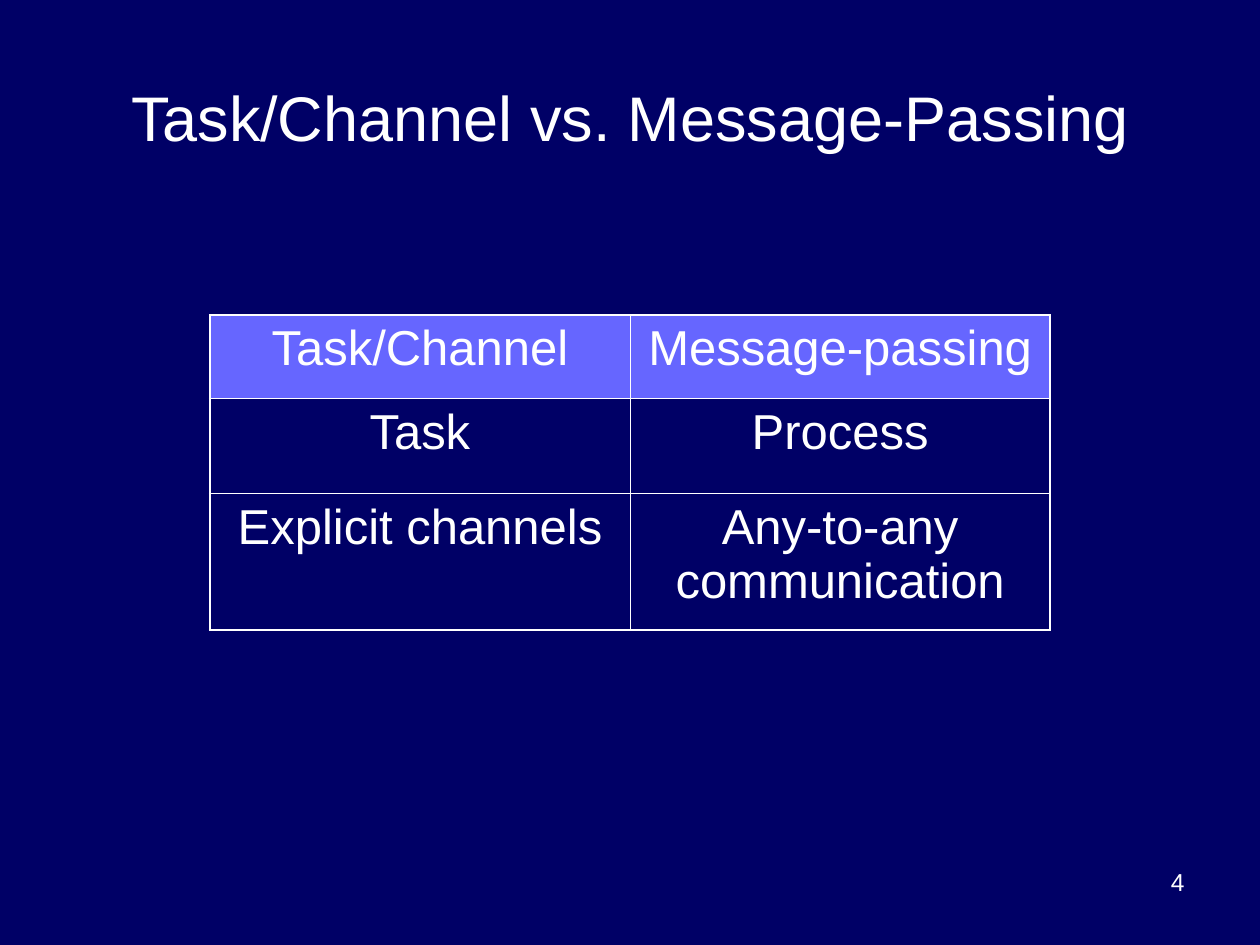
from lxml.etree import SubElement
from pptx import Presentation
from pptx.dml.color import RGBColor
from pptx.enum.text import MSO_ANCHOR as Anchor, PP_ALIGN as Align
from pptx.oxml.ns import qn
from pptx.util import Cm, Pt

TITLE = "Task/Channel vs. Message-Passing"
ROWS = [
    ("Task/Channel", "Message-passing"),
    ("Task", "Process"),
    ("Explicit channels", "Any-to-any communication"),
]
PAGE_NUMBER = "4"

COLORS = {"background": "000066", "header": "6666FF", "text": "FFFFFF", "border": "FFFFFF"}
FONT = "Arial"
SIZES = {"title": 36, "table": 28, "number": 14}
TITLE_BOX = (1.27, 0.76, 22.86, 3.18)
NUMBER_BOX = (18.21, 17.35, 5.92, 1.32)
TABLE_ORIGIN = (4.23, 6.35)
COLUMN_WIDTH = 8.47
ROW_HEIGHTS = (1.69, 1.91, 2.75)
OUTER_LINE, INNER_LINE = 1.08, 0.45
MARGINS = {"margin_left": Cm(0.25), "margin_right": Cm(0.25),
           "margin_top": Cm(0.13), "margin_bottom": Cm(0.13)}


def set_values(target, values):
    for name, value in values.items():
        setattr(target, name, value)


def write_text(frame, text, size, alignment):
    frame.word_wrap = True
    paragraph = frame.paragraphs[0]
    paragraph.alignment = alignment
    run = paragraph.add_run()
    run.text = text
    set_values(run.font, {"name": FONT, "size": Pt(size), "bold": False})
    run.font.color.rgb = RGBColor.from_string(COLORS["text"])


def add_borders(cell, widths):
    properties = cell._tc.get_or_add_tcPr()
    for position, (side, width) in enumerate(widths.items()):
        line = SubElement(properties, qn(f"a:ln{side}"), w=str(int(Pt(width))))
        fill = SubElement(line, qn("a:solidFill"))
        SubElement(fill, qn("a:srgbClr"), val=COLORS["border"])
        properties.insert(position, line)


def add_comparison_table(slide):
    row_count, column_count = len(ROWS), len(ROWS[0])
    size = (COLUMN_WIDTH * column_count, sum(ROW_HEIGHTS))
    table = slide.shapes.add_table(row_count, column_count, *map(Cm, TABLE_ORIGIN + size)).table
    set_values(table, {"first_row": False, "horz_banding": False})
    for column in table.columns:
        column.width = Cm(COLUMN_WIDTH)
    for i, texts in enumerate(ROWS):
        table.rows[i].height = Cm(ROW_HEIGHTS[i])
        for j, text in enumerate(texts):
            cell = table.cell(i, j)
            set_values(cell, MARGINS | {"vertical_anchor": Anchor.TOP})
            write_text(cell.text_frame, text, SIZES["table"], Align.CENTER)
            if i == 0:
                cell.fill.solid()
                cell.fill.fore_color.rgb = RGBColor.from_string(COLORS["header"])
            else:
                cell.fill.background()
            outer = {"L": j == 0, "R": j == column_count - 1, "T": i == 0, "B": i == row_count - 1}
            add_borders(cell, {side: OUTER_LINE if edge else INNER_LINE for side, edge in outer.items()})


def main():
    """Build the slide comparing the task/channel and message-passing models."""
    presentation = Presentation()
    set_values(presentation, {"slide_width": Cm(25.4), "slide_height": Cm(19.05)})
    slide = presentation.slides.add_slide(presentation.slide_layouts[5])
    background = slide.background.fill
    background.solid()
    background.fore_color.rgb = RGBColor.from_string(COLORS["background"])

    title = slide.shapes.title
    set_values(title, dict(zip(("left", "top", "width", "height"), map(Cm, TITLE_BOX))))
    set_values(title.text_frame, MARGINS | {"vertical_anchor": Anchor.MIDDLE})
    write_text(title.text_frame, TITLE, SIZES["title"], Align.CENTER)

    add_comparison_table(slide)

    number = slide.shapes.add_textbox(*map(Cm, NUMBER_BOX))
    set_values(number.text_frame, MARGINS)
    write_text(number.text_frame, PAGE_NUMBER, SIZES["number"], Align.RIGHT)
    presentation.save("out.pptx")


if __name__ == "__main__":
    main()
